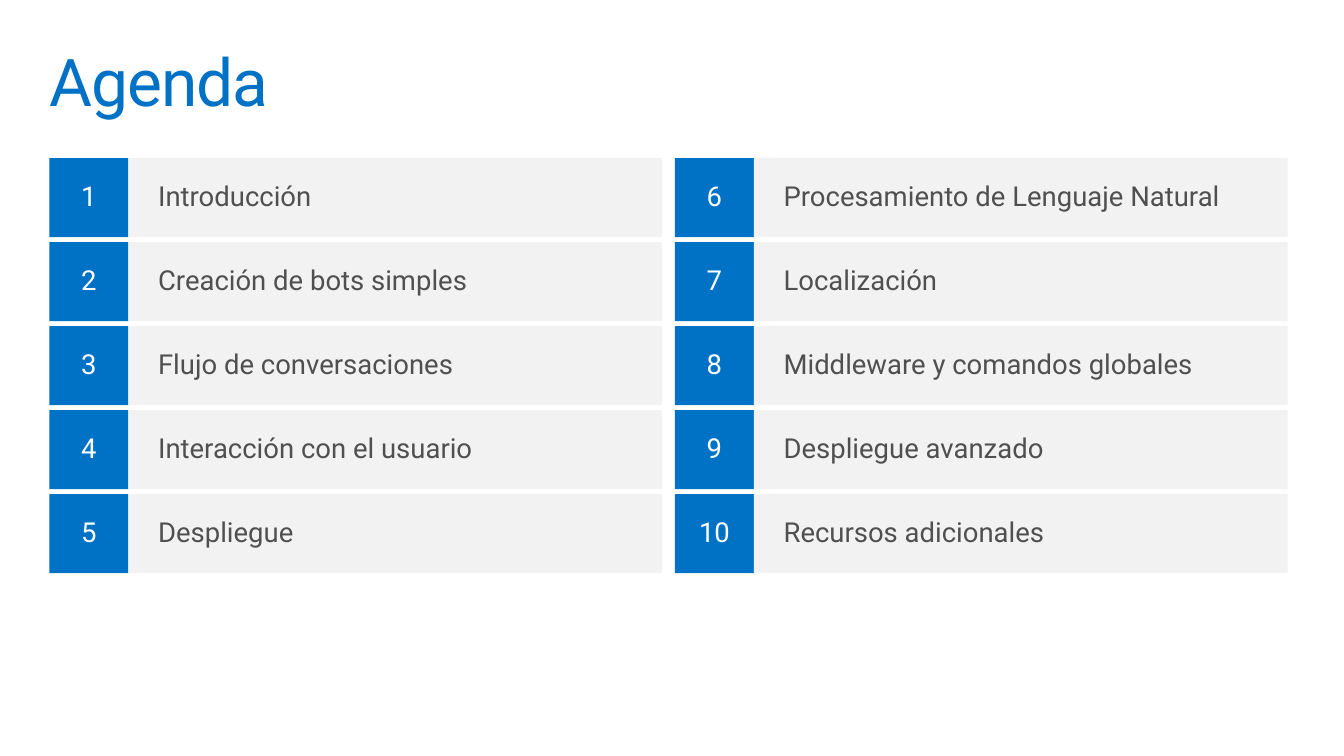
import pptx
import pptx.dml.color
import pptx.enum.shapes
import pptx.enum.text
import pptx.util

Pt = pptx.util.Pt
RGBColor = pptx.dml.color.RGBColor
ALIGN = pptx.enum.text.PP_ALIGN
ANCHOR = pptx.enum.text.MSO_ANCHOR

BLUE = RGBColor(0x00, 0x72, 0xC6)
LIGHT_GRAY = RGBColor(0xF2, 0xF2, 0xF2)
DARK_GRAY = RGBColor(0x50, 0x50, 0x50)
WHITE = RGBColor(0xFF, 0xFF, 0xFF)

# Agenda grid, in points
LEFT, TOP = 36, 115.2
ROW_HEIGHT, ROW_PITCH = 57.6, 61.2
NUMBER_WIDTH, TOPIC_WIDTH = 57.6, 388.8
COLUMN_PITCH = 455.76
ROWS = 5

TOPICS = [
    "Introducción",
    "Creación de bots simples",
    "Flujo de conversaciones",
    "Interacción con el usuario",
    "Despliegue",
    "Procesamiento de Lenguaje Natural",
    "Localización",
    "Middleware y comandos globales",
    "Despliegue avanzado",
    "Recursos adicionales",
]


def write_text(frame, text, *, font, size, color, align=ALIGN.LEFT,
               anchor=ANCHOR.MIDDLE, inset=(7.2, 7.2), spacing=None):
    """Fill a text frame; inset is (horizontal, vertical) in points."""
    frame.word_wrap = True
    frame.auto_size = pptx.enum.text.MSO_AUTO_SIZE.NONE
    frame.vertical_anchor = anchor
    frame.margin_left = frame.margin_right = Pt(inset[0])
    frame.margin_top = frame.margin_bottom = Pt(inset[1])
    paragraph = frame.paragraphs[0]
    paragraph.alignment = align
    paragraph.line_spacing = 0.9
    paragraph.space_before = paragraph.space_after = Pt(0)
    run = paragraph.add_run()
    run.text = text
    run.font.name = font
    run.font.size = Pt(size)
    run.font.color.rgb = color
    if spacing is not None:
        run._r.get_or_add_rPr().set("spc", str(round(spacing * 100)))


class AgendaSlide:
    font = "Roboto"
    title_size = 48
    body_size = 20

    def __init__(self, presentation):
        self.slide = presentation.slides.add_slide(presentation.slide_layouts[5])

    def title(self, text, left, top, width, height):
        heading = self.slide.shapes.title
        heading.left, heading.top = Pt(left), Pt(top)
        heading.width, heading.height = Pt(width), Pt(height)
        write_text(heading.text_frame, text, font=self.font, size=self.title_size,
                   color=BLUE, anchor=ANCHOR.TOP, spacing=-0.7)

    def box(self, text, left, top, width, fill, **text_format):
        tile = self.slide.shapes.add_shape(
            pptx.enum.shapes.MSO_SHAPE.RECTANGLE,
            Pt(left), Pt(top), Pt(width), Pt(ROW_HEIGHT))
        tile.shadow.inherit = False
        tile.fill.solid()
        tile.fill.fore_color.rgb = fill
        tile.line.fill.background()
        write_text(tile.text_frame, text, font=self.font, size=self.body_size,
                   **text_format)

    def number(self, value, left, top):
        self.box(str(value), left, top, NUMBER_WIDTH, BLUE,
                 color=WHITE, align=ALIGN.CENTER, inset=(14.4, 11.52))

    def topic(self, text, left, top):
        self.box(text, left, top, TOPIC_WIDTH, LIGHT_GRAY,
                 color=DARK_GRAY, inset=(21.6, 7.2))


def main():
    presentation = pptx.Presentation()
    presentation.slide_width = Pt(979.2)
    presentation.slide_height = Pt(550.8)
    agenda = AgendaSlide(presentation)

    # Title
    agenda.title("Agenda", 28.8, 28.8, 921.6, 72)

    # Numbered topics, filled column by column
    for index, topic in enumerate(TOPICS):
        column, row = divmod(index, ROWS)
        left = LEFT + column * COLUMN_PITCH
        top = TOP + row * ROW_PITCH
        agenda.number(index + 1, left, top)
        agenda.topic(topic, left + NUMBER_WIDTH, top)

    presentation.save("out.pptx")


if __name__ == "__main__":
    main()
